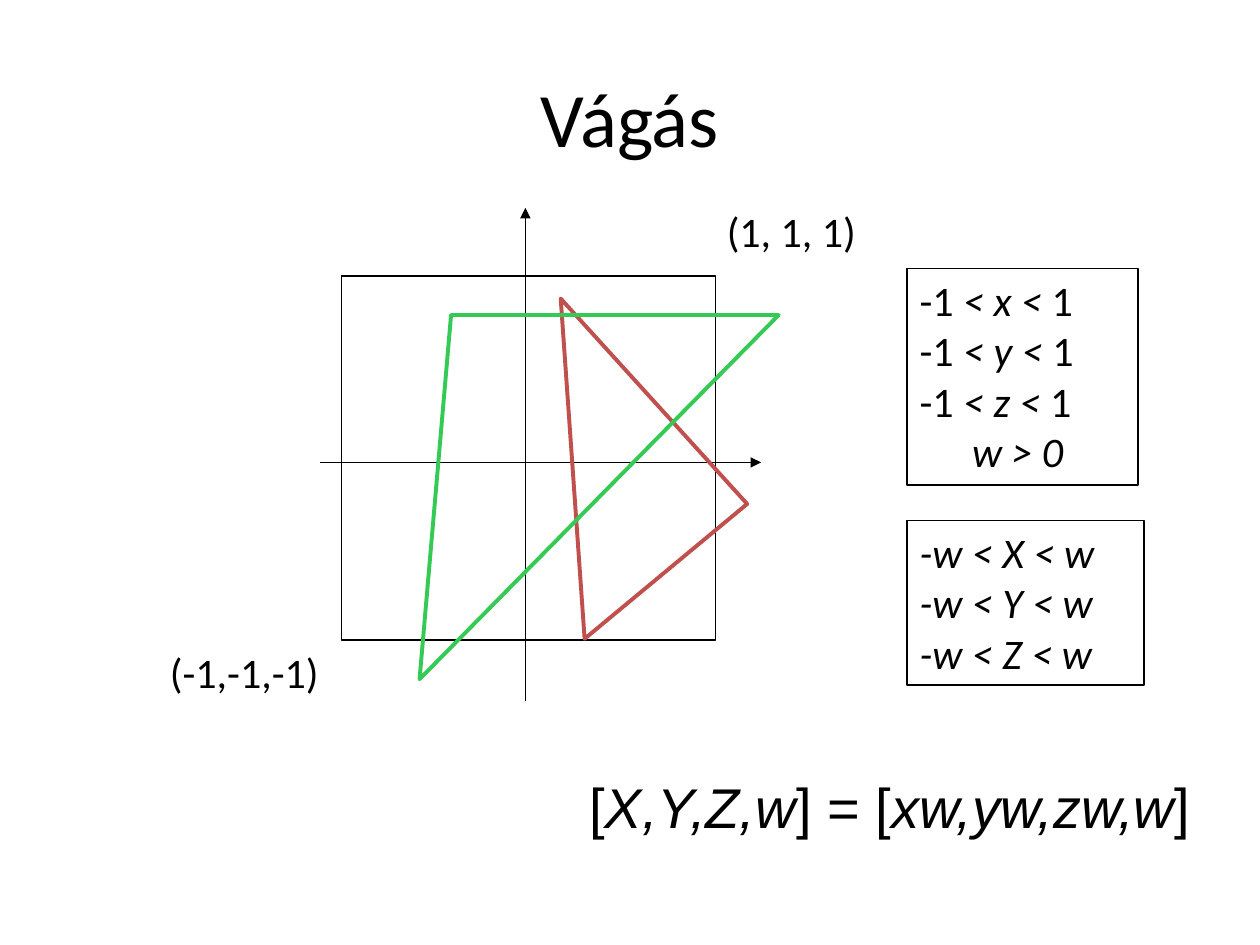
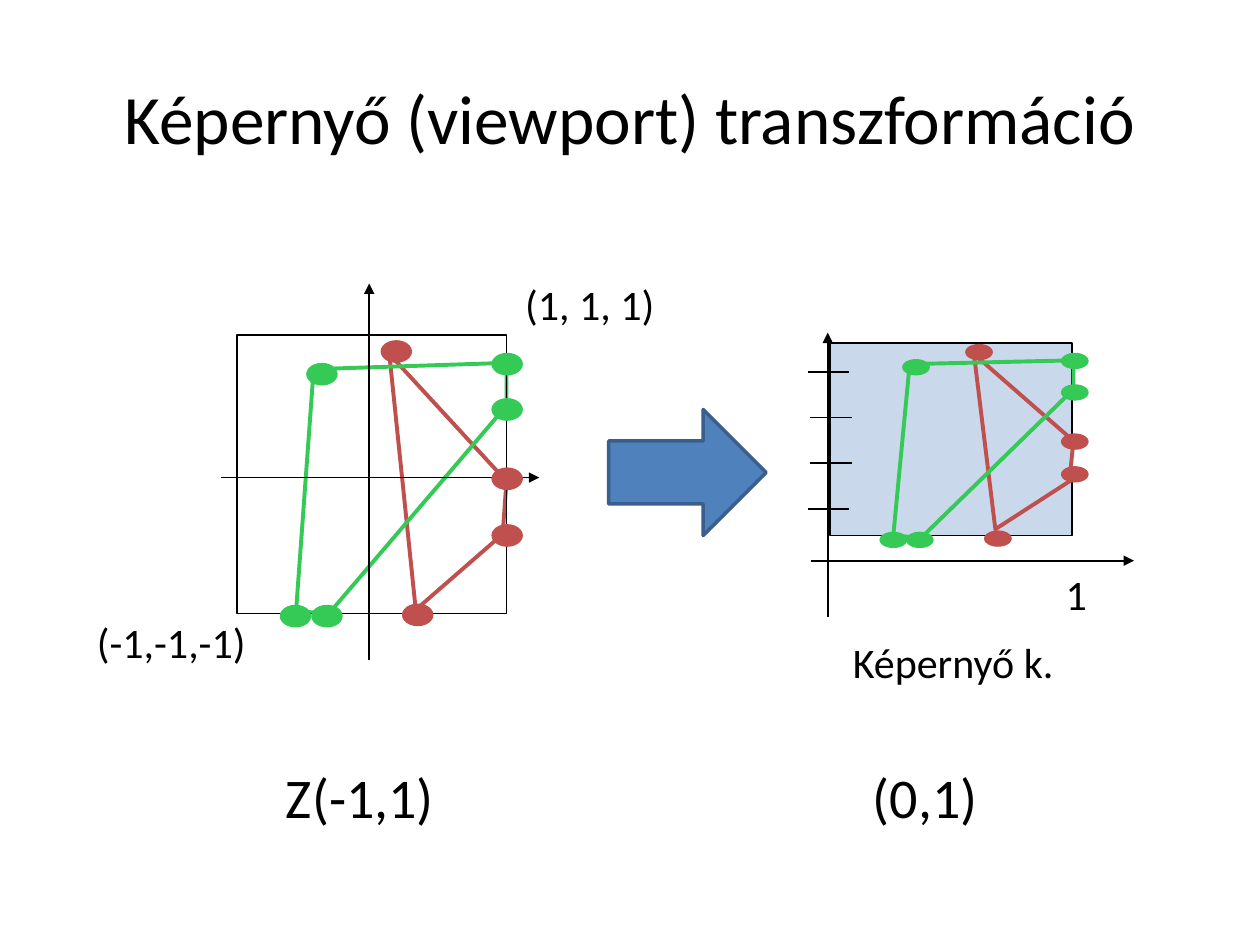
from lxml.etree import SubElement
from pptx import Presentation
from pptx.dml.color import RGBColor
from pptx.enum.dml import MSO_LINE
from pptx.enum.shapes import MSO_CONNECTOR, MSO_SHAPE
from pptx.enum.text import MSO_ANCHOR, PP_ALIGN
from pptx.oxml.ns import qn
from pptx.util import Inches, Pt

HUES = {
    "ink": "000000",
    "red": "C0504D",
    "green": "35C955",
    "blue": "4F81BD",
    "edge": "3A5F8C",
}
TITLE = (0.5, 0.3, 9, 1.25)


def hue(name):
    return RGBColor.from_string(HUES[name])


def apply(item, **form):
    for key, value in form.items():
        setattr(item, key, value)


def place(box):
    return [Inches(value) for value in box]


def within(box, part):
    return (box[0] + part[0], box[1] + part[1], *part[2:])


def stroke(line, color="ink", width=1):
    line.color.rgb = hue(color)
    line.width = Pt(width)


def write(par, text, size, face="Calibri"):
    for turn, part in enumerate(text.split("_")):
        if part:
            run = par.add_run()
            run.text = part
            apply(run.font, name=face, size=Pt(size), italic=turn % 2 == 1)
            run.font.color.rgb = hue("ink")


def label(slide, box, lines, size=24, face="Calibri", framed=False):
    note = slide.shapes.add_textbox(*place(box))
    frame = note.text_frame
    frame.word_wrap = True
    for turn, text in enumerate(lines):
        par = frame.add_paragraph() if turn else frame.paragraphs[0]
        write(par, text, size, face)
    if framed:
        stroke(note.line)
    return frame


def start(deck, text, size):
    slide = deck.slides.add_slide(deck.slide_layouts[5])
    head = slide.shapes.title
    apply(head, **dict(zip(("left", "top", "width", "height"), place(TITLE))))
    apply(head.text_frame, vertical_anchor=MSO_ANCHOR.MIDDLE, word_wrap=True)
    par = head.text_frame.paragraphs[0]
    par.alignment = PP_ALIGN.CENTER
    write(par, text, size)
    return slide


def rule(slide, box, first, last, arrow=False, dash=None):
    ends = place(within(box, first) + within(box, last))
    link = slide.shapes.add_connector(MSO_CONNECTOR.STRAIGHT, *ends)
    stroke(link.line)
    if dash:
        link.line.dash_style = dash
    if arrow:
        SubElement(link.line._get_or_add_ln(), qn("a:tailEnd"), type="triangle")
    SubElement(link.element.spPr, qn("a:effectLst"))


def axes(slide, box, cross, up, right):
    rule(slide, box, (cross[0], up[0]), (cross[0], up[1]), arrow=True)
    rule(slide, box, (right[0], cross[1]), (right[1], cross[1]), arrow=True)


def solid(slide, kind, box, fill=None, edge=None, width=1):
    shape = slide.shapes.add_shape(kind, *place(box))
    shape.shadow.inherit = False
    if fill:
        shape.fill.solid()
        shape.fill.fore_color.rgb = hue(fill)
    else:
        shape.fill.background()
    if edge:
        stroke(shape.line, edge, width)
    else:
        shape.line.fill.background()
    return shape


def trace(slide, box, outlines):
    for color, points in outlines.items():
        spots = [place(within(box, point)) for point in points]
        draft = slide.shapes.build_freeform(*spots[0])
        draft.add_line_segments(spots[1:], close=True)
        shape = draft.convert_to_shape()
        shape.shadow.inherit = False
        shape.fill.background()
        stroke(shape.line, color, 2.25)


def mark(slide, box, size, spots):
    for color, points in spots.items():
        for point in points:
            solid(slide, MSO_SHAPE.OVAL, within(box, point + size), color)


def corners(slide, box, low, high):
    label(slide, within(box, low), ["(-1,-1,-1)"])
    label(slide, within(box, high), ["(1, 1, 1)"])


def clip_plot(slide, box):
    axes(slide, box, (1.46, 1.48), (3.37, -0.54), (-0.17, 3.33))
    solid(slide, MSO_SHAPE.RECTANGLE, box, edge="ink")
    corners(slide, box, (-1.46, 2.89, 2.11, 0.75), (2.96, -0.61, 1.86, 0.75))
    trace(slide, box, {
        "red": [(1.93, 2.88), (1.74, 0.18), (3.22, 1.81)],
        "green": [(0.62, 3.2), (0.87, 0.31), (3.47, 0.31)],
    })


def limits(slide, box):
    bounds = [f"-1 _< {axis} < _1" for axis in "xyz"] + ["_w > 0 "]
    frame = label(slide, box, bounds, framed=True)
    frame.paragraphs[-1].alignment = PP_ALIGN.CENTER
    scaled = [f"_-w < {axis} < w" for axis in "XYZ"]
    label(slide, within(box, (0, 2, 1.88, 1.31)), scaled, framed=True)


def cube_plot(slide, box):
    trace(slide, box, {
        "red": [(1.42, 2.18), (1.21, 0.15), (2.14, 1.16), (2.11, 1.58)],
        "green": [(0.47, 2.19), (0.61, 0.27), (2.14, 0.22), (2.14, 0.56),
                  (0.73, 2.21)],
    })
    axes(slide, box, (1.05, 1.13), (2.58, -0.41), (-0.13, 2.4))
    rule(slide, box, (0, 0.19), (0, 2.11), dash=MSO_LINE.ROUND_DOT)
    solid(slide, MSO_SHAPE.RECTANGLE, box, edge="ink")
    mark(slide, box, (0.25, 0.18), {
        "green": [(0.55, 0.22), (2.02, 0.5), (2.02, 0.14), (0.59, 2.14),
                  (0.34, 2.14)],
        "red": [(1.31, 2.13), (1.14, 0.04), (2.02, 1.05), (2.02, 1.5)],
    })
    corners(slide, box, (-1.21, 2.18, 1.52, 0.58), (2.19, -0.5, 1.35, 0.58))


def screen_plot(slide, box):
    axes(slide, box, (-0.02, 1.73), (2.18, -0.08), (-0.15, 2.41))
    pane = solid(slide, MSO_SHAPE.RECTANGLE, box, "blue", "ink")
    tint = pane.element.xpath("./p:spPr/a:solidFill/a:srgbClr")[0]
    SubElement(tint, qn("a:alpha"), val="30000")
    label(slide, within(box, (1.77, 1.74, 0.37, 0.5)), ["1"])
    for turn, left in enumerate((-0.18, -0.16, -0.16, -0.18)):
        y = 0.23 + 0.363 * turn
        rule(slide, box, (left, y), (left + 0.33, y))
    trace(slide, box, {
        "red": [(1.31, 1.48), (1.14, 0.09), (1.93, 0.78), (1.9, 1.07),
                (1.96, 1.06)],
        "green": [(0.5, 1.53), (0.63, 0.17), (1.93, 0.14), (1.93, 0.37),
                  (0.72, 1.55)],
    })
    mark(slide, box, (0.22, 0.13), {
        "green": [(0.57, 0.13), (1.83, 0.33), (1.83, 0.08), (0.6, 1.5),
                  (0.39, 1.5)],
        "red": [(1.22, 1.49), (1.07, 0.01), (1.83, 0.72), (1.83, 0.98)],
    })
    label(slide, within(box, (0.08, 2.28, 1.85, 0.5)), ["Képernyő k."])


def clip_slide(deck):
    slide = start(deck, "Vágás", 44)
    clip_plot(slide, (2.71, 2.19, 2.97, 2.89))
    limits(slide, (7.2, 2.13, 1.83, 1.72))
    text = "[_X,Y,Z,w_] = [_xw,yw,zw,w_]"
    label(slide, (4.58, 6.08, 5.13, 0.64), [text], 32, "Arial")


def view_slide(deck):
    slide = start(deck, "Képernyő (viewport) transzformáció", 39.6)
    screen_plot(slide, (6.59, 2.72, 1.92, 1.53))
    cube_plot(slide, (1.88, 2.66, 2.14, 2.21))
    arrow = (4.83, 3.25, 1.25, 1)
    solid(slide, MSO_SHAPE.RIGHT_ARROW, arrow, "blue", "edge", 2)
    for left, text in ((2.17, "Z(-1,1)"), (6.83, "(0,1)")):
        label(slide, (left, 6, 2.08, 0.64), [text], 32)


def main():
    deck = Presentation()
    apply(deck, slide_width=Inches(10), slide_height=Inches(7.5))
    clip_slide(deck)
    view_slide(deck)
    deck.save("out.pptx")


if __name__ == "__main__":
    main()
